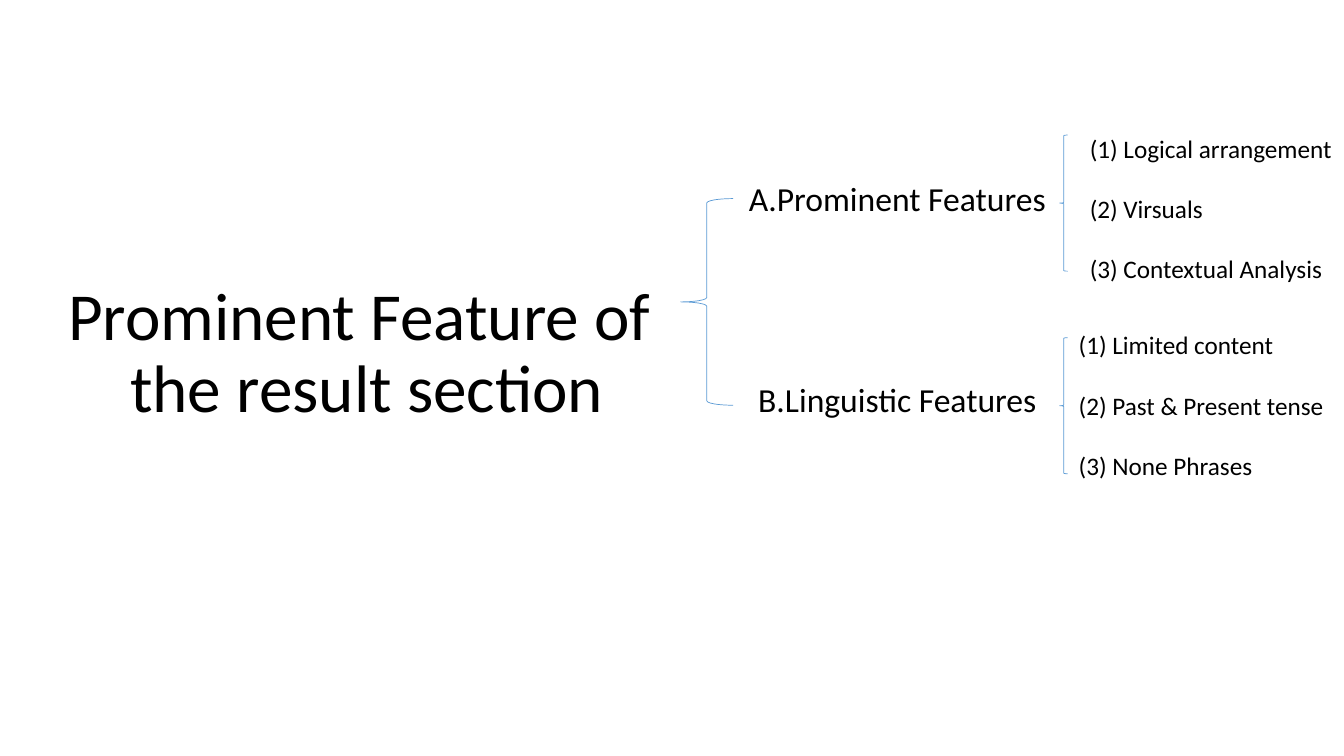
from dataclasses import dataclass

from pptx import Presentation
from pptx.dml.color import RGBColor
from pptx.enum.shapes import MSO_SHAPE
from pptx.enum.text import MSO_ANCHOR, MSO_AUTO_SIZE, PP_ALIGN
from pptx.util import Inches, Pt


@dataclass(frozen=True)
class Theme:
    font: str = "Calibri"
    text: RGBColor = RGBColor(0, 0, 0)
    brace: RGBColor = RGBColor(0x5B, 0x9B, 0xD5)
    title: float = 48
    branch: float = 24
    item: float = 18
    brace_width: float = 0.5


THEME = Theme()


def place(sp, box):
    sp.left, sp.top, sp.width, sp.height = (Inches(v) for v in box)


def write(tf, lines, size, align, gap=0, spacing=1.0, anchor=MSO_ANCHOR.TOP):
    tf.word_wrap = True
    tf.auto_size = MSO_AUTO_SIZE.NONE
    tf.vertical_anchor = anchor
    for i, line in enumerate(lines):
        p = tf.paragraphs[0] if i == 0 else tf.add_paragraph()
        p.text = line
        p.alignment = align
        p.line_spacing = spacing
        p.space_before = Pt(gap if i else 0)
        p.font.name = THEME.font
        p.font.size = Pt(size)
        p.font.color.rgb = THEME.text


def add_brace(s, box):
    sp = s.shapes.add_shape(MSO_SHAPE.LEFT_BRACE, *(Inches(v) for v in box))
    sp.shadow.inherit = False
    sp.fill.background()
    sp.line.color.rgb = THEME.brace
    sp.line.width = Pt(THEME.brace_width)


def add_topic(s, box):
    sp = s.shapes.title
    place(sp, box)
    write(sp.text_frame, ["Prominent Feature of \vthe result section"], THEME.title,
          PP_ALIGN.CENTER, spacing=0.9, anchor=MSO_ANCHOR.BOTTOM)


def add_branches(s, box, names):
    left, top, width, height = box
    brace_width = 0.52
    add_brace(s, (left, top + 0.21, brace_width, 2.05))
    sp = s.placeholders[1]
    place(sp, (left + brace_width, top, width - brace_width, height))
    write(sp.text_frame, names, THEME.branch, PP_ALIGN.CENTER, gap=117.5, spacing=0.9)


def add_details(s, box, items, indent, drop):
    left, top, width, height = box
    add_brace(s, (left, top + drop, 0.08, 1.35))
    sp = s.shapes.add_textbox(Inches(left + indent), Inches(top),
                              Inches(width - indent), Inches(height))
    write(sp.text_frame, items, THEME.item, PP_ALIGN.LEFT, gap=21.5)


def main():
    prs = Presentation()
    prs.slide_width, prs.slide_height = Inches(13.33), Inches(7.5)
    s = prs.slides.add_slide(prs.slide_layouts[0])
    add_topic(s, (0.54, 1.68, 6.2, 2.61))
    add_branches(s, (6.75, 1.76, 3.78, 2.94),
                 ["A.Prominent Features", "B.Linguistic Features"])
    add_details(s, (10.51, 1.27, 2.82, 1.61),
                ["(1) Logical arrangement", "(2) Virsuals", "(3) Contextual Analysis"],
                indent=0.2, drop=0.07)
    add_details(s, (10.51, 3.22, 2.74, 1.61),
                ["(1) Limited content", "(2) Past & Present tense", "(3) None Phrases"],
                indent=0.09, drop=0.13)
    prs.save("out.pptx")


if __name__ == "__main__":
    main()
